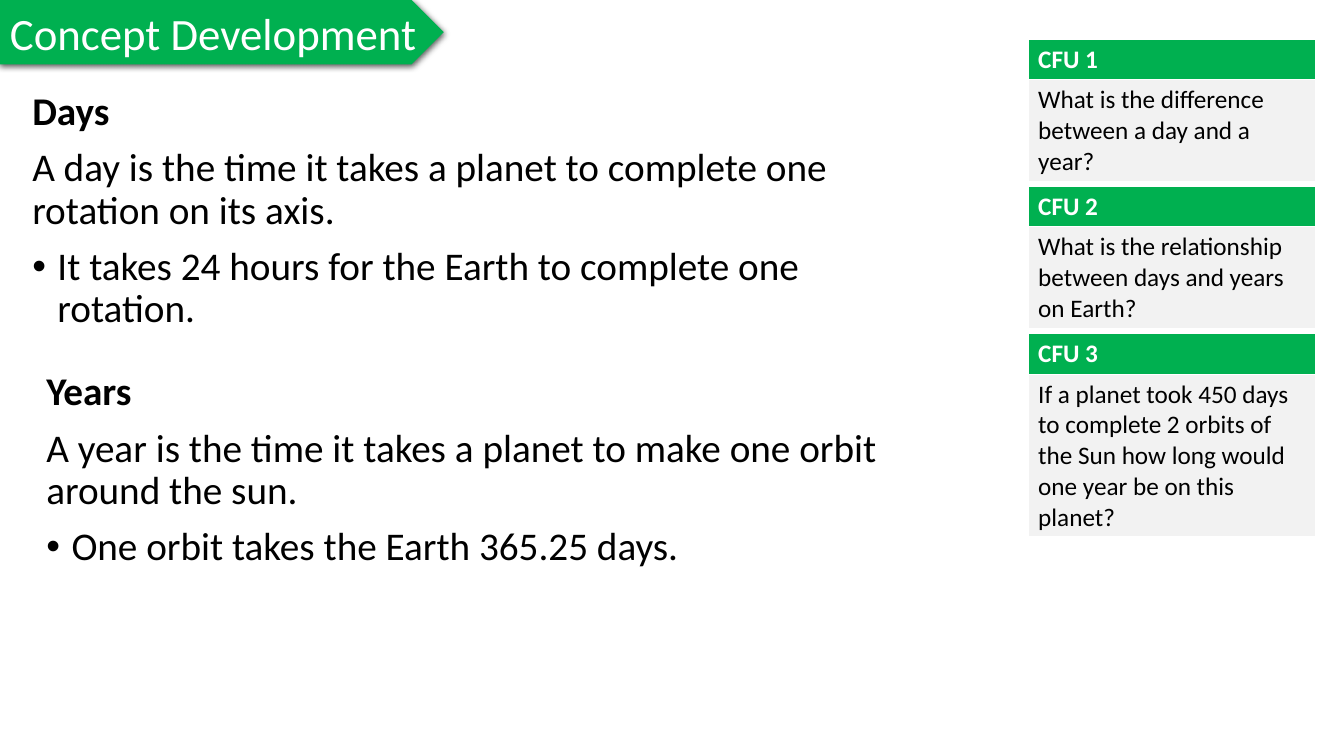
from lxml import etree
from pptx import Presentation
from pptx.dml import color
from pptx.enum import shapes, text
from pptx.oxml import ns
from pptx.util import Pt

GREEN, GREY, WHITE, BLACK = "00B050", "F2F2F2", "FFFFFF", "000000"


def rgb(value):
    """Return a colour from a hex string."""
    return color.RGBColor.from_string(value)


def box(left, top, width, height):
    """Return a position and size, given in points."""
    return [Pt(value) for value in (left, top, width, height)]


def write(paragraph, words, size=28, colour=BLACK, bold=False, bullet=False,
          line_spacing=None, space_before=None):
    """Fill a paragraph with formatted text."""
    if bullet:
        properties = paragraph._p.get_or_add_pPr()
        properties.set("marL", str(Pt(18)))
        properties.set("indent", str(-Pt(18)))
        font = etree.SubElement(properties, ns.qn("a:buFont"))
        font.set("typeface", "Arial")
        etree.SubElement(properties, ns.qn("a:buChar")).set("char", "•")
    paragraph.alignment = text.PP_ALIGN.LEFT
    paragraph.line_spacing = line_spacing
    paragraph.space_before = space_before
    run = paragraph.add_run()
    run.text = words
    run.font.name = "Calibri"
    run.font.size = Pt(size)
    run.font.bold = bold
    run.font.color.rgb = rgb(colour)


def add_shadow(shape):
    """Give a shape a soft shadow straight below it."""
    shape.shadow.inherit = False
    effects = shape._element.spPr.find(ns.qn("a:effectLst"))
    shadow = etree.SubElement(effects, ns.qn("a:outerShdw"), blurRad=str(Pt(4.5)),
                              dist=str(Pt(1.5)), dir="5400000", rotWithShape="0")
    shade = etree.SubElement(shadow, ns.qn("a:srgbClr"), val=BLACK)
    etree.SubElement(shade, ns.qn("a:alpha"), val="63000")


def add_banner(slide, words):
    """Add the green title arrow in the corner."""
    banner = slide.shapes.add_shape(shapes.MSO_SHAPE.PENTAGON, *box(0, 0, 317, 46))
    banner.fill.solid()
    banner.fill.fore_color.rgb = rgb(GREEN)
    banner.line.fill.background()
    add_shadow(banner)
    frame = banner.text_frame
    frame.word_wrap = False
    frame.auto_size = text.MSO_AUTO_SIZE.SHAPE_TO_FIT_TEXT
    write(frame.paragraphs[0], words, size=32, colour=WHITE)


def add_concept(slide, place, heading, definition, fact):
    """Add a heading with its definition and a bulleted fact."""
    frame = slide.shapes.add_textbox(*box(*place)).text_frame
    frame.word_wrap = True
    write(frame.paragraphs[0], heading, bold=True, line_spacing=0.9)
    write(frame.add_paragraph(), definition, line_spacing=0.9, space_before=Pt(10))
    write(frame.add_paragraph(), fact, bullet=True, line_spacing=0.9,
          space_before=Pt(10))


def add_question(slide, top, height, heading, question):
    """Add a two-row table with a check for understanding."""
    table = slide.shapes.add_table(2, 1, *box(734.4, top, 205.2, height)).table
    table.horz_banding = False
    table.rows[0].height = Pt(28)
    table.rows[1].height = Pt(height - 28)
    rows = ((heading, GREEN, WHITE, True), (question, GREY, BLACK, False))
    for index, (words, fill, colour, bold) in enumerate(rows):
        cell = table.cell(index, 0)
        cell.fill.solid()
        cell.fill.fore_color.rgb = rgb(fill)
        write(cell.text_frame.paragraphs[0], words, size=18, colour=colour, bold=bold)


def main():
    """Build the slide on days and years."""
    presentation = Presentation()
    presentation.slide_width, presentation.slide_height = Pt(960), Pt(540)
    slide = presentation.slides.add_slide(presentation.slide_layouts[6])
    add_banner(slide, "Concept Development")
    add_concept(slide, (16, 62, 648, 302), "Days",
                "A day is the time it takes a planet to complete one rotation on its axis.",
                "It takes 24 hours for the Earth to complete one rotation.")
    add_concept(slide, (26, 262, 644, 320), "Years",
                "A year is the time it takes a planet to make one orbit around the sun.",
                "One orbit takes the Earth 365.25 days.")
    questions = (
        (100.8, "What is the difference between a day and a year?"),
        (100.8, "What is the relationship between days and years on Earth?"),
        (144, "If a planet took 450 days to complete 2 orbits of the Sun "
              "how long would one year be on this planet?"),
    )
    for index, (height, question) in enumerate(questions):
        add_question(slide, 28 + 105.2 * index, height, f"CFU {index + 1}", question)
    presentation.save("out.pptx")


if __name__ == "__main__":
    main()
